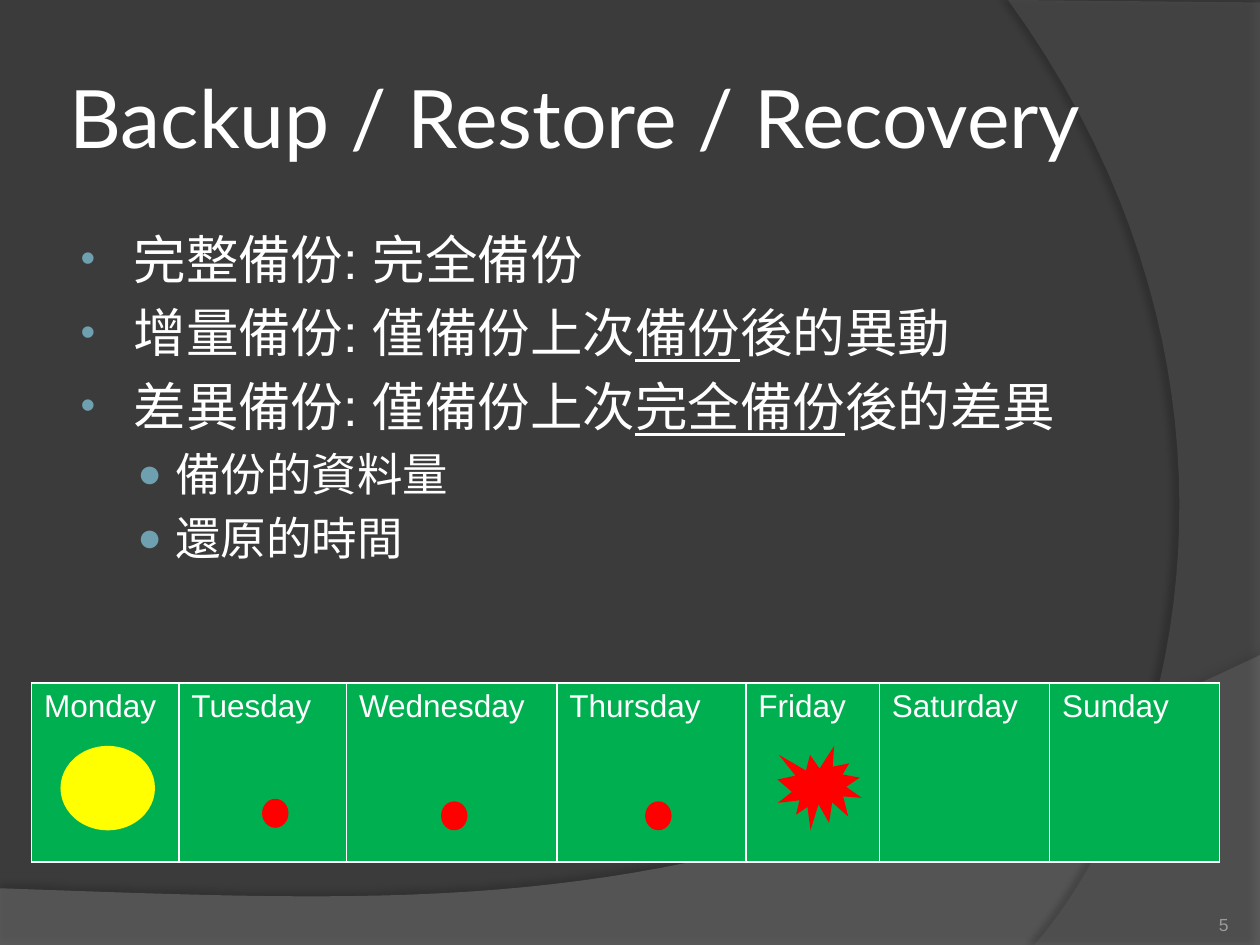
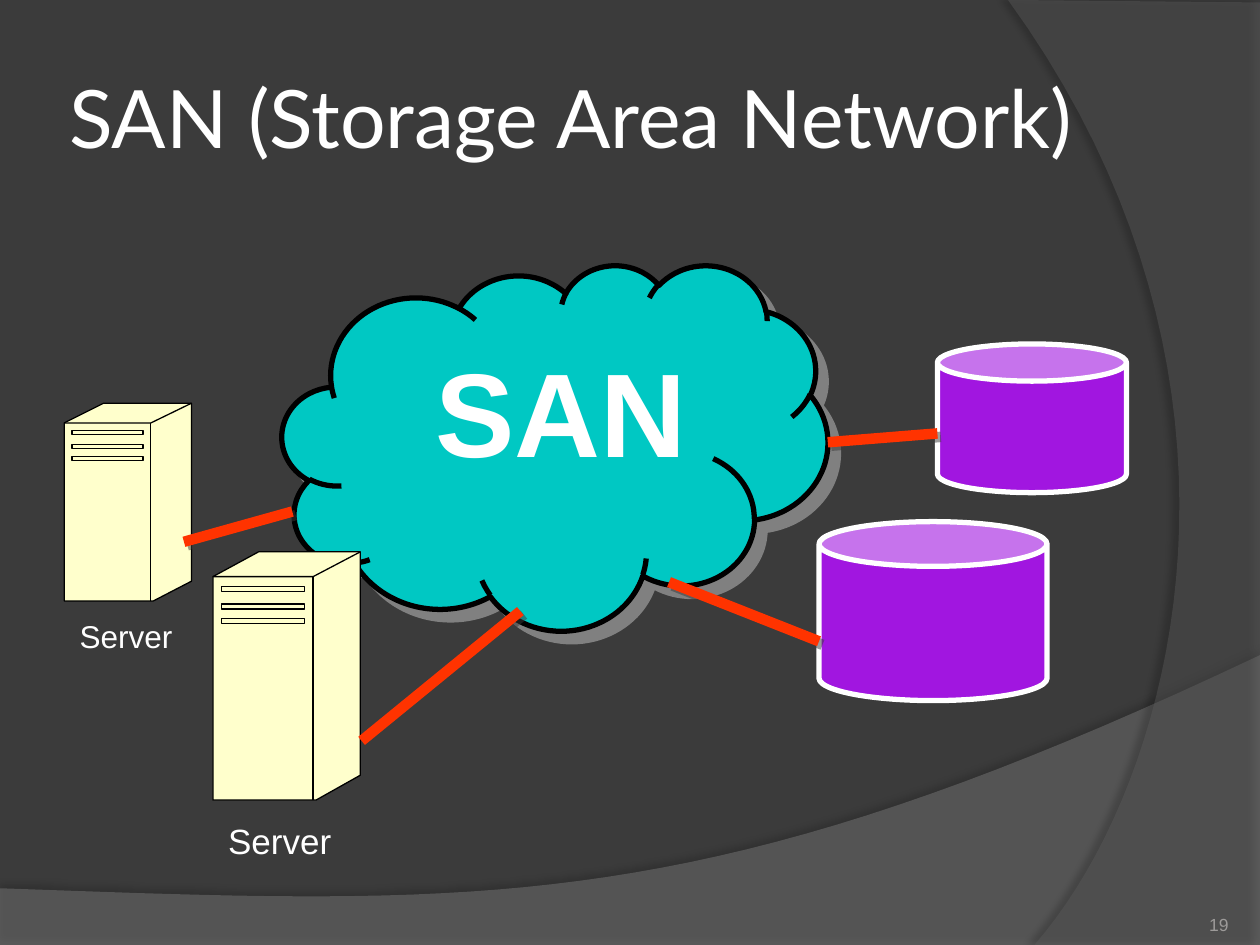
from dataclasses import dataclass

from lxml.etree import SubElement
from pptx import Presentation
from pptx.dml.color import RGBColor
from pptx.enum.shapes import MSO_CONNECTOR, MSO_SHAPE
from pptx.enum.text import MSO_ANCHOR, MSO_AUTO_SIZE, PP_ALIGN
from pptx.oxml.ns import qn
from pptx.util import Inches, Pt


@dataclass(frozen=True)
class Theme:
    background: str = "3B3B3B"
    lower_band: str = "7F7F7F"
    right_band: str = "5E5E5E"
    text: str = "FFFFFF"
    page_number: str = "9D9B9A"
    bullet: str = "6EA0B0"
    table: str = "00B050"
    full_backup: str = "FFFF00"
    change: str = "FF0000"
    server: str = "FFFFCC"
    outline: str = "000000"
    cloud: str = "00C8C3"
    disk: str = "A116E0"
    link: str = "FF3300"
    title_font: str = "Lato"
    body_font: str = "Arial"
    title_size: int = 46
    level_sizes: tuple = (30, 26)
    table_size: int = 18
    cloud_size: int = 68
    page_size: int = 10


THEME = Theme()

# Content: shared bands as a start point followed by lines (x, y) or curves
LOWER_BAND = [(0, 7.05), (0, 7.5), (10, 7.5), (10, 5.2),
              ((5.59, 7.29), (3.91, 7.19), (0, 7.05))]
RIGHT_BAND = [(10, 0.02), (10, 7.5), (8.21, 7.5),
              ((9.35, 6.19), (10.18, 3), (8, 0))]
# Shadows: colour, opacity %, blur pt, distance pt, direction in degrees
LOWER_SHADOW = ("000000", 35, 4, 3.5, 270)
RIGHT_SHADOW = ("000000", 45, 4, 4, 180)
CLOUD_SHADOW = ("808080", 100, 0, 8.5, 45)
DISK_SHADOW = ("3B3B3B", 50, 0, 8.5, 45)
LINK_SHADOW = ("3B3B3B", 50, 0, 2.8, 45)

# Content: backup slide; underscores enclose underlined words
BACKUP_TITLE = "Backup / Restore / Recovery"
BACKUP_POINTS = [
    (0, "完整備份: 完全備份"),
    (0, "增量備份: 僅備份上次_備份_後的異動"),
    (0, "差異備份: 僅備份上次_完全備份_後的差異"),
    (1, "備份的資料量"),
    (1, "還原的時間"),
]
BULLETS = [("•", 80, 0.46, -0.42), ("●", 90, 0.79, -0.3)]
WEEK = [("Monday", 1.17), ("Tuesday", 1.33), ("Wednesday", 1.67), ("Thursday", 1.5),
        ("Friday", 1.06), ("Saturday", 1.35), ("Sunday", 1.35)]
BACKUP_MARKERS = [
    (MSO_SHAPE.OVAL, (0.48, 5.92, 0.75, 0.67), THEME.full_backup),
    (MSO_SHAPE.EXPLOSION1, (6.17, 5.92, 0.67, 0.67), THEME.change),
    *[(MSO_SHAPE.OVAL, (left, top, 0.21, 0.23), THEME.change)
      for left, top in [(2.08, 6.34), (3.5, 6.36), (5.12, 6.36)]],
]

# Content: storage network slide
SAN_TITLE = "SAN (Storage Area Network)"
CLOUD_BOX = (2.24, 2.1, 4.33, 2.9)
# Servers: box, centre of the label, label size
BACK_SERVER = ((0.51, 3.2, 1.01, 1.57), (1.0, 5.05), 18)
FRONT_SERVER = ((1.69, 4.38, 1.17, 1.97), (2.22, 6.67), 20)
DISKS = [(7.44, 2.73, 1.5, 1.18), (6.5, 4.14, 1.81, 1.42)]
LINKS = [((2.32, 4.06), (1.46, 4.3)), ((4.13, 4.85), (2.87, 5.88)),
         ((7.44, 3.44), (6.57, 3.51)), ((6.5, 5.09), (5.31, 4.62))]
# Server outline as fractions of its box
TOWER_OUTLINE = [(0, 0.1), (0.31, 0), (1, 0), (1, 0.9), (0.7, 1), (0, 1)]
TOWER_EDGES = [[(0, 0.1), (0.68, 0.1), (1, 0)], [(0.68, 0.1), (0.68, 1)]]
SLOT_TOPS = (0.14, 0.21, 0.27)
SLOT_LEFT, SLOT_WIDTH, SLOT_HEIGHT = 0.06, 0.56, 0.02


# Formatting helpers
def color(value):
    return RGBColor.from_string(value)


def inches(values):
    return [Inches(value) for value in values]


def write_text(paragraph, text, *, size, font=THEME.body_font, fill=THEME.text,
               bold=False, align=PP_ALIGN.LEFT):
    paragraph.alignment = align
    for index, part in enumerate(text.split("_")):
        run = paragraph.add_run()
        run.text = part
        run.font.name = font
        run.font.size = Pt(size)
        run.font.bold = bold
        run.font.color.rgb = color(fill)
        if index % 2:
            run.font.underline = True


def set_shadow(shape, shadow=None):
    properties = shape.element.spPr
    effects = SubElement(properties, qn("a:effectLst"))
    if shadow:
        shade, opacity, blur, distance, direction = shadow
        outer = SubElement(effects, qn("a:outerShdw"), blurRad=str(Pt(blur)),
                           dist=str(Pt(distance)), dir=str(direction * 60000),
                           algn="ctr", rotWithShape="0")
        tone = SubElement(outer, qn("a:srgbClr"), val=shade)
        SubElement(tone, qn("a:alpha"), val=str(opacity * 1000))


def format_shape(shape, fill=None, line=None, width=0.75, shadow=None):
    if fill:
        shape.fill.solid()
        shape.fill.fore_color.rgb = color(fill)
    else:
        shape.fill.background()
    if line:
        shape.line.color.rgb = color(line)
        shape.line.width = Pt(width)
    else:
        shape.line.fill.background()
    set_shadow(shape, shadow)


def add_outline(shapes, points, close=True):
    corners = [inches(point) for point in points]
    builder = shapes.build_freeform(*corners[0], scale=1.0)
    builder.add_line_segments(corners[1:], close=close)
    return builder.convert_to_shape()


def add_label(slide, text, box, anchor, **text_format):
    frame = slide.shapes.add_textbox(*inches(box)).text_frame
    frame.word_wrap = True
    frame.vertical_anchor = anchor
    frame.margin_left = frame.margin_right = frame.margin_top = frame.margin_bottom = 0
    write_text(frame.paragraphs[0], text, **text_format)


# Shared design
def flatten(segments, steps=40):
    points = [segments[0]]
    for segment in segments[1:]:
        if len(segment) == 2:
            points.append(segment)
            continue
        controls = [points[-1], *segment]
        for step in range(1, steps + 1):
            t = step / steps
            weights = ((1 - t) ** 3, 3 * t * (1 - t) ** 2, 3 * t * t * (1 - t), t ** 3)
            points.append([sum(weight * control[axis]
                               for weight, control in zip(weights, controls))
                           for axis in (0, 1)])
    return points


def design_master(presentation, slide):
    master = presentation.slide_master
    master.background.fill.solid()
    master.background.fill.fore_color.rgb = color(THEME.background)
    bands = [(LOWER_BAND, THEME.lower_band, 45, LOWER_SHADOW),
             (RIGHT_BAND, THEME.right_band, 40, RIGHT_SHADOW)]
    for position, (segments, fill, opacity, shadow) in enumerate(bands, start=2):
        band = add_outline(slide.shapes, flatten(segments))
        format_shape(band, fill, shadow=shadow)
        tone = band.element.spPr.find(qn("a:solidFill")).find(qn("a:srgbClr"))
        SubElement(tone, qn("a:alpha"), val=str(opacity * 1000))
        master.shapes.element.insert(position, band.element)


def place(shape, box):
    shape.left, shape.top, shape.width, shape.height = inches(box)


def add_page(presentation, layout, title, number):
    slide = presentation.slides.add_slide(presentation.slide_layouts[layout])
    place(slide.shapes.title, (0.5, 0.3, 8.17, 1.25))
    frame = slide.shapes.title.text_frame
    frame.auto_size = MSO_AUTO_SIZE.NONE
    frame.vertical_anchor = MSO_ANCHOR.MIDDLE
    frame.margin_left = frame.margin_right = Inches(0.05)
    write_text(frame.paragraphs[0], title, size=THEME.title_size, font=THEME.title_font)
    add_label(slide, number, (8.92, 7.02, 0.83, 0.4), MSO_ANCHOR.BOTTOM,
              size=THEME.page_size, fill=THEME.page_number, align=PP_ALIGN.RIGHT)
    return slide


# Backup slide parts
def fill_body(body):
    place(body, (0.5, 1.75, 8.17, 4.95))
    frame = body.text_frame
    frame.auto_size = MSO_AUTO_SIZE.NONE
    for index, (level, text) in enumerate(BACKUP_POINTS):
        paragraph = frame.add_paragraph() if index else frame.paragraphs[0]
        size = THEME.level_sizes[level]
        write_text(paragraph, text, size=size)
        paragraph.level = level
        paragraph.space_before = Pt(size * 0.2)
        character, percent, margin, indent = BULLETS[level]
        properties = paragraph._p.get_or_add_pPr()
        properties.set("marL", str(Inches(margin)))
        properties.set("indent", str(Inches(indent)))
        bullet_color = SubElement(properties, qn("a:buClr"))
        SubElement(bullet_color, qn("a:srgbClr"), val=THEME.bullet)
        SubElement(properties, qn("a:buSzPct"), val=str(percent * 1000))
        SubElement(properties, qn("a:buFont"), typeface=THEME.body_font)
        SubElement(properties, qn("a:buChar"), char=character)


def set_borders(cell):
    properties = cell._tc.get_or_add_tcPr()
    for position, side in enumerate(("lnL", "lnR", "lnT", "lnB")):
        border = SubElement(properties, qn(f"a:{side}"), w=str(Pt(1)))
        fill = SubElement(border, qn("a:solidFill"))
        SubElement(fill, qn("a:srgbClr"), val=THEME.text)
        properties.insert(position, border)


def add_week_table(slide):
    width = sum(day_width for _, day_width in WEEK)
    table = slide.shapes.add_table(1, len(WEEK), *inches((0.25, 5.42, width, 1.42))).table
    table.first_row = table.horz_banding = False
    for index, (day, day_width) in enumerate(WEEK):
        table.columns[index].width = Inches(day_width)
        cell = table.cell(0, index)
        cell.fill.solid()
        cell.fill.fore_color.rgb = color(THEME.table)
        set_borders(cell)
        write_text(cell.text_frame.paragraphs[0], day, size=THEME.table_size)


# Storage network slide parts
def add_server(slide, box, label_center, label_size):
    left, top, width, height = box

    def scaled(points):
        return [(left + x * width, top + y * height) for x, y in points]

    tower = slide.shapes.add_group_shape().shapes
    format_shape(add_outline(tower, scaled(TOWER_OUTLINE)), THEME.server, THEME.outline)
    for edge in TOWER_EDGES:
        format_shape(add_outline(tower, scaled(edge), close=False), line=THEME.outline)
    for slot_left, slot_top in scaled((SLOT_LEFT, y) for y in SLOT_TOPS):
        slot = tower.add_shape(MSO_SHAPE.RECTANGLE, *inches(
            (slot_left, slot_top, SLOT_WIDTH * width, SLOT_HEIGHT * height)))
        format_shape(slot, line=THEME.outline)
    x, y = label_center
    add_label(slide, "Server", (x - 0.6, y - 0.2, 1.2, 0.4), MSO_ANCHOR.MIDDLE,
              size=label_size, align=PP_ALIGN.CENTER)


def add_cloud(slide):
    cloud = slide.shapes.add_shape(MSO_SHAPE.CLOUD, *inches(CLOUD_BOX))
    format_shape(cloud, THEME.cloud, THEME.outline, 3, CLOUD_SHADOW)
    frame = cloud.text_frame
    frame.vertical_anchor = MSO_ANCHOR.TOP
    frame.margin_left, frame.margin_top, frame.margin_right = inches((0.4, 0.15, 0))
    write_text(frame.paragraphs[0], "SAN", size=THEME.cloud_size, bold=True,
               align=PP_ALIGN.CENTER)


def main():
    presentation = Presentation()
    presentation.slide_width, presentation.slide_height = inches((10, 7.5))

    # Backup slide
    backup = add_page(presentation, 1, BACKUP_TITLE, "5")
    design_master(presentation, backup)
    fill_body(backup.placeholders[1])
    add_week_table(backup)
    for kind, box, fill in BACKUP_MARKERS:
        format_shape(backup.shapes.add_shape(kind, *inches(box)), fill)

    # Storage network slide
    network = add_page(presentation, 5, SAN_TITLE, "19")
    add_server(network, *BACK_SERVER)
    add_cloud(network)
    add_server(network, *FRONT_SERVER)
    for box in DISKS:
        disk = network.shapes.add_shape(MSO_SHAPE.CAN, *inches(box))
        format_shape(disk, THEME.disk, THEME.text, 3, DISK_SHADOW)
    for start, end in LINKS:
        link = network.shapes.add_connector(MSO_CONNECTOR.STRAIGHT, *inches(start + end))
        link.line.color.rgb = color(THEME.link)
        link.line.width = Pt(6)
        set_shadow(link, LINK_SHADOW)

    presentation.save("out.pptx")


if __name__ == "__main__":
    main()
